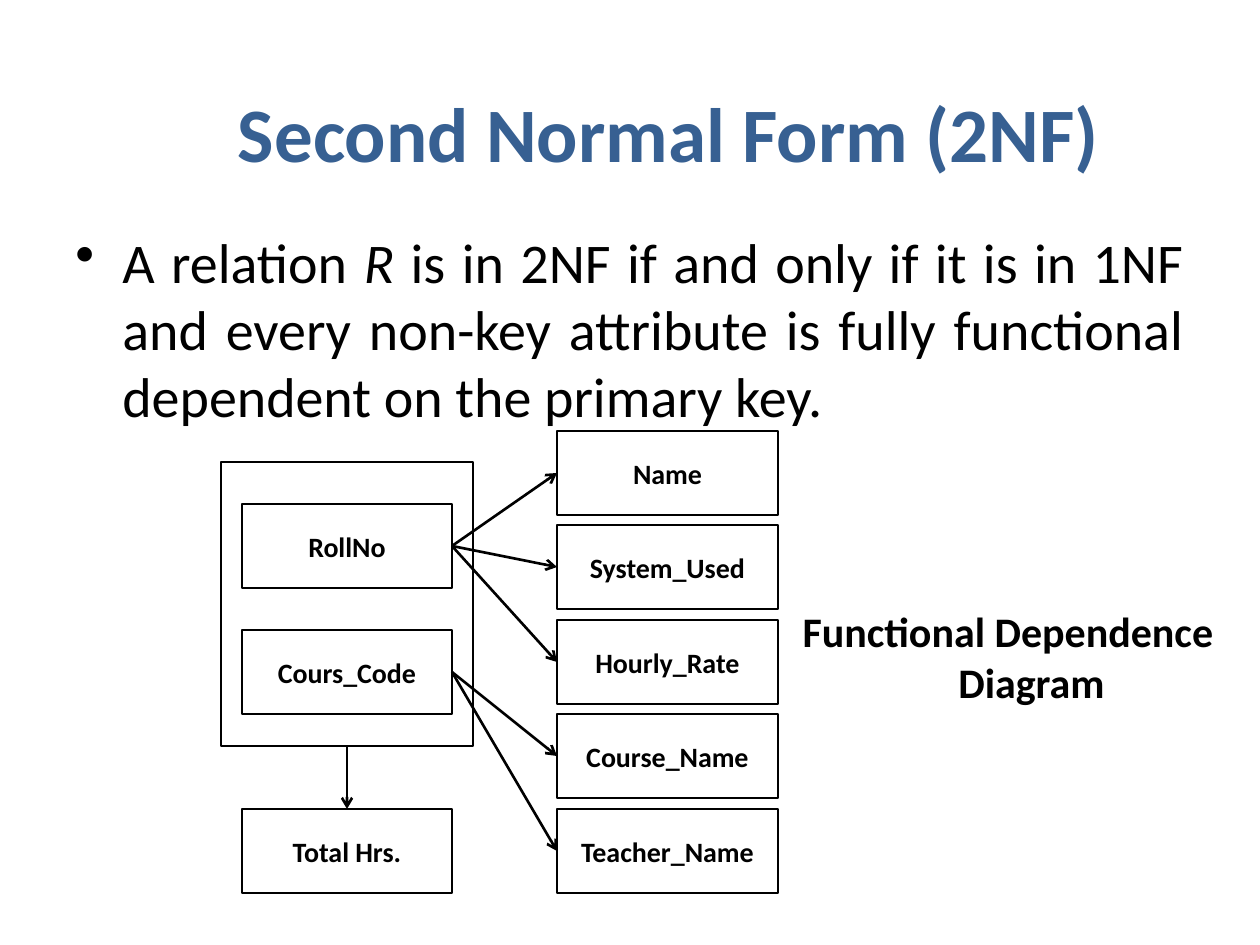
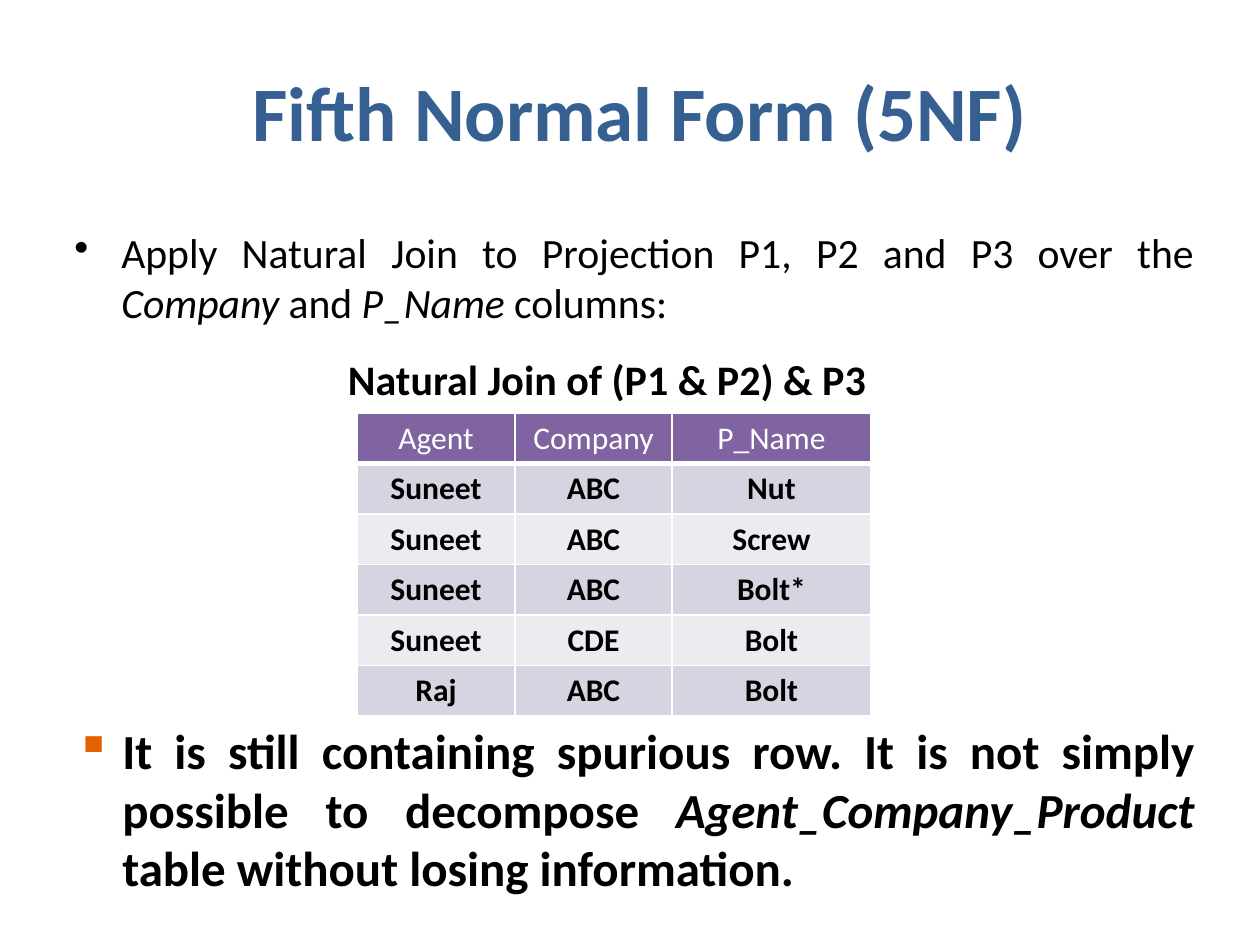
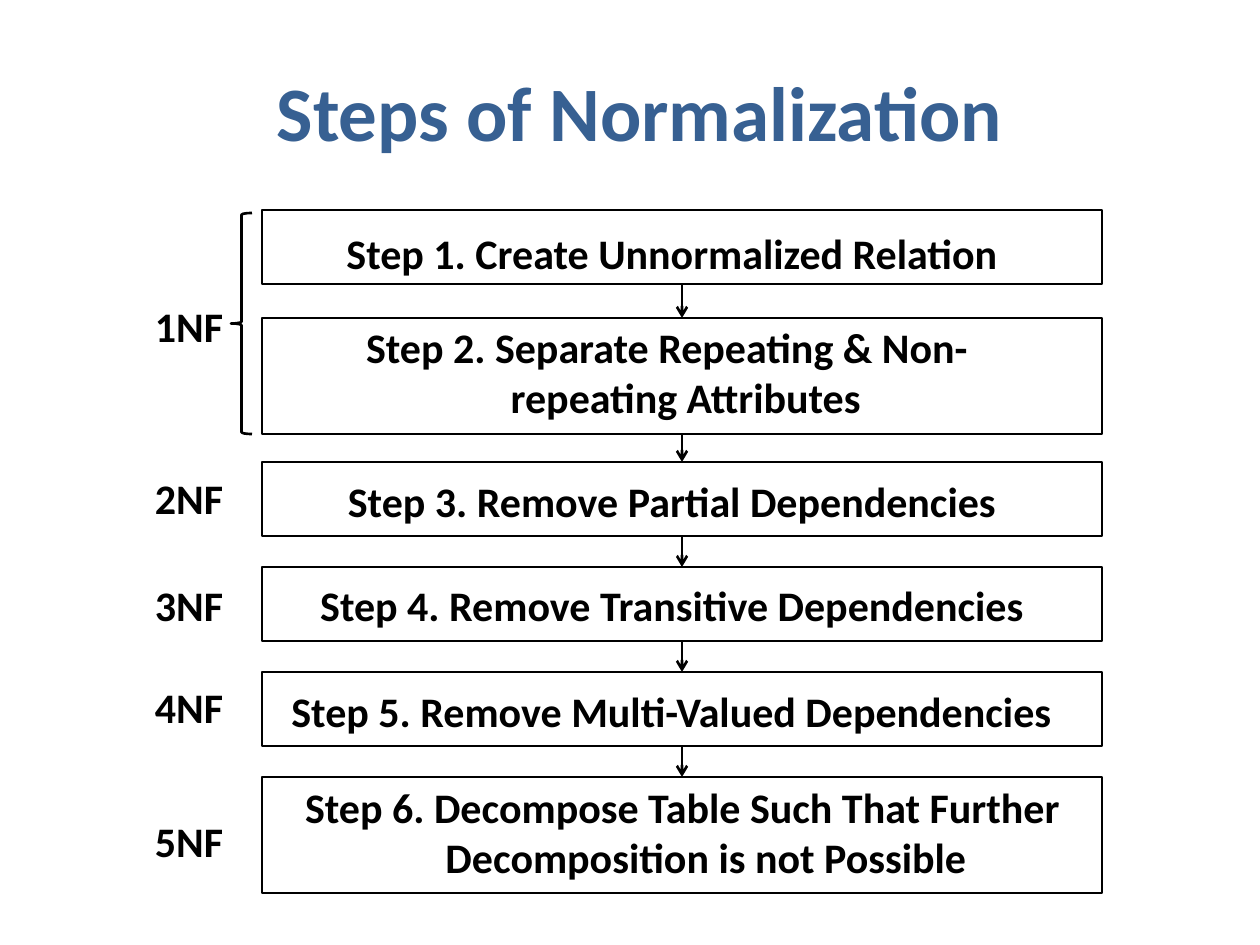
"""Build three slides on database normalization."""
from dataclasses import dataclass

from lxml import etree
from pptx import Presentation
from pptx.dml.color import RGBColor
from pptx.enum.shapes import MSO_CONNECTOR, MSO_SHAPE
from pptx.enum.text import MSO_ANCHOR, PP_ALIGN
from pptx.oxml.ns import qn
from pptx.util import Emu, Pt

CENTER, JUSTIFY = PP_ALIGN.CENTER, PP_ALIGN.JUSTIFY
TOP_ANCHOR, MIDDLE_ANCHOR = MSO_ANCHOR.TOP, MSO_ANCHOR.MIDDLE
RECTANGLE, LEFT_BRACE = MSO_SHAPE.RECTANGLE, MSO_SHAPE.LEFT_BRACE
STRAIGHT = MSO_CONNECTOR.STRAIGHT
TOP, LEFT, BOTTOM, RIGHT = range(4)
EMU_PER_PX = 914400 / 126


@dataclass(frozen=True)
class Theme:
    """Colours, font and type sizes shared by the slides."""
    font: str = "Calibri"
    title: str = "376092"
    ink: str = "000000"
    paper: str = "FFFFFF"
    header: str = "8064A2"
    bands: tuple = ("D8D3E0", "EDEAF0")
    accent: str = "E46100"
    title_size: float = 44
    body_size: float = 32
    note_size: float = 28
    label_size: float = 24
    lead_size: float = 23.8
    cell_size: float = 18
    node_size: float = 16
    line_width: float = 1.5
    hanging: int = 47


THEME = Theme()

SLIDE_SIZE = (1260, 945)
TITLE_PLACE = (73, 32, 1134, 158)

SECOND_FORM = {
    "title": "Second Normal Form (2NF)",
    "title_place": (102, 53, 1134, 158),
    "body": "A relation |R| is in 2NF if and only if it is in 1NF and every non-key attribute "
            "is fully functional dependent on the primary key.",
    "caption": "Functional Dependence Diagram",
}
KEYS = {"RollNo": 504, "Cours_Code": 630, "Total Hrs.": 809}
ATTRIBUTES = ["Name", "System_Used", "Hourly_Rate", "Course_Name", "Teacher_Name"]
DEPENDENCIES = {
    "RollNo": ["Name", "System_Used", "Hourly_Rate"],
    "Cours_Code": ["Course_Name", "Teacher_Name"],
}

FIFTH_FORM = {
    "title": "Fifth Normal Form (5NF)",
    "body": "Apply Natural Join to Projection P1, P2 and P3 over the |Company| and |P_Name| columns:",
    "caption": "Natural Join of (P1 & P2) & P3",
    "note": "It is still containing spurious row. It is not simply possible to decompose "
            "|Agent_Company_Product| table without losing information.",
}
JOIN_COLUMNS = (158, 157, 199)
JOIN_ROW_HEIGHT = 50
JOIN_ROWS = [
    ("Agent", "Company", "P_Name"),
    ("Suneet", "ABC", "Nut"),
    ("Suneet", "ABC", "Screw"),
    ("Suneet", "ABC", "Bolt*"),
    ("Suneet", "CDE", "Bolt"),
    ("Raj", "ABC", "Bolt"),
]

STEPS_TITLE = "Steps of Normalization"
STEPS = [
    # wording, (text left, top, width), (box top, height)
    ("Step 1. Create Unnormalized Relation", (294, 221, 756), (210, 74)),
    ("Step 2. Separate Repeating & Non-repeating Attributes ", (284, 315, 766), (318, 116)),
    ("Step 3. Remove Partial Dependencies", (294, 469, 756), (462, 74)),
    ("Step 4. Remove Transitive Dependencies", (294, 573, 756), (567, 74)),
    ("Step 5. Remove Multi-Valued Dependencies", (262, 679, 819), (672, 74)),
    ("Step 6. Decompose Table Such That Further Decomposition is not Possible",
     (273, 775, 819), (777, 116)),
]
FORM_TOPS = {"1NF": 294, "2NF": 466, "3NF": 573, "4NF": 675, "5NF": 809}


def px(length):
    """Turn pixels into EMU."""
    return Emu(round(length * EMU_PER_PX))


def place(*lengths):
    """Turn several pixel lengths into EMU."""
    return [px(length) for length in lengths]


def style_paragraph(paragraph, text, size, color=THEME.ink, bold=True, align=CENTER):
    """Write text, with italics between bars, in one paragraph style."""
    paragraph.alignment = align
    font = paragraph.font
    font.name, font.size, font.bold = THEME.font, Pt(size), bold
    font.color.rgb = RGBColor.from_string(color)
    for index, part in enumerate(text.split("|")):
        run = paragraph.add_run()
        run.text = part
        if index % 2:
            run.font.italic = True


def add_hanging(paragraph, bullet=None, bullet_color=None):
    """Give a paragraph a hanging indent and, if asked, a bullet."""
    properties = paragraph._p.get_or_add_pPr()
    properties.set("marL", str(px(THEME.hanging)))
    properties.set("indent", str(-px(THEME.hanging)))
    if bullet_color:
        color = etree.SubElement(properties, qn("a:buClr"))
        etree.SubElement(color, qn("a:srgbClr"), val=bullet_color)
    if bullet:
        etree.SubElement(properties, qn("a:buChar"), char=bullet)


def add_text(slide, text, box, size, anchor=TOP_ANCHOR, hanging=True,
             bullet=None, bullet_color=None, **style):
    """Add a wrapping text box."""
    frame = slide.shapes.add_textbox(*place(*box)).text_frame
    frame.word_wrap = True
    frame.vertical_anchor = anchor
    paragraph = frame.paragraphs[0]
    if hanging:
        add_hanging(paragraph, bullet, bullet_color)
    style_paragraph(paragraph, text, size, **style)


def add_outline(slide, box, text=None, kind=RECTANGLE):
    """Add an unfilled shape with a black outline and optional label."""
    shape = slide.shapes.add_shape(kind, *place(*box))
    shape.shadow.inherit = False
    shape.fill.background()
    shape.line.color.rgb = RGBColor.from_string(THEME.ink)
    shape.line.width = Pt(THEME.line_width)
    if text:
        shape.text_frame.vertical_anchor = MIDDLE_ANCHOR
        style_paragraph(shape.text_frame.paragraphs[0], text, THEME.node_size)
    return shape


def add_arrow(slide, start, start_side, end, end_side):
    """Join two shapes with an arrow."""
    arrow = slide.shapes.add_connector(STRAIGHT, 0, 0, 0, 0)
    arrow.begin_connect(start, start_side)
    arrow.end_connect(end, end_side)
    arrow.line.color.rgb = RGBColor.from_string(THEME.ink)
    arrow.line.width = Pt(THEME.line_width)
    etree.SubElement(arrow.line._get_or_add_ln(), qn("a:tailEnd"), type="arrow")
    etree.SubElement(arrow._element.spPr, qn("a:effectLst"))


def add_slide(presentation, title, title_place=TITLE_PLACE):
    """Add a blank slide with its title."""
    slide = presentation.slides.add_slide(presentation.slide_layouts[6])
    add_text(slide, title, title_place, THEME.title_size, anchor=MIDDLE_ANCHOR,
             hanging=False, color=THEME.title)
    return slide


def fill_cell(cell, text, is_header, fill):
    """Write a table cell with its borders and fill."""
    properties = cell._tc.get_or_add_tcPr()
    for side in ("L", "R", "T", "B"):
        width = Pt(3 if is_header and side == "B" else 1)
        border = etree.SubElement(properties, qn(f"a:ln{side}"), w=str(width))
        solid = etree.SubElement(border, qn("a:solidFill"))
        etree.SubElement(solid, qn("a:srgbClr"), val=THEME.paper)
    cell.fill.solid()
    cell.fill.fore_color.rgb = RGBColor.from_string(fill)
    style_paragraph(cell.text_frame.paragraphs[0], text, THEME.cell_size,
                    color=THEME.paper if is_header else THEME.ink, bold=not is_header)


def build_second_form(presentation):
    """Draw the functional dependence diagram."""
    slide = add_slide(presentation, SECOND_FORM["title"], SECOND_FORM["title_place"])
    add_text(slide, SECOND_FORM["body"], (63, 221, 1134, 221), THEME.body_size,
             bullet="•", bold=False, align=JUSTIFY)
    composite_key = add_outline(slide, (221, 462, 252, 284))
    nodes = {name: add_outline(slide, (242, top, 210, 84), name) for name, top in KEYS.items()}
    for index, name in enumerate(ATTRIBUTES):
        nodes[name] = add_outline(slide, (557, 431 + index * 189 // 2, 221, 84), name)
    for key, dependents in DEPENDENCIES.items():
        for name in dependents:
            add_arrow(slide, nodes[key], RIGHT, nodes[name], LEFT)
    add_arrow(slide, composite_key, BOTTOM, nodes["Total Hrs."], TOP)
    add_text(slide, SECOND_FORM["caption"], (777, 576, 462, 160), THEME.label_size,
             anchor=MIDDLE_ANCHOR)


def build_fifth_form(presentation):
    """Draw the natural join table and its conclusion."""
    slide = add_slide(presentation, FIFTH_FORM["title"])
    add_text(slide, FIFTH_FORM["body"], (62, 221, 1144, 95), THEME.lead_size,
             bullet="•", bold=False, align=JUSTIFY)
    add_text(slide, FIFTH_FORM["caption"], (294, 347, 626, 66), THEME.label_size)
    size = (sum(JOIN_COLUMNS), JOIN_ROW_HEIGHT * len(JOIN_ROWS))
    table = slide.shapes.add_table(len(JOIN_ROWS), len(JOIN_COLUMNS),
                                   *place(357, 413, *size)).table
    for column, width in zip(table.columns, JOIN_COLUMNS):
        column.width = px(width)
    for row_index, values in enumerate(JOIN_ROWS):
        is_header = row_index == 0
        fill = THEME.header if is_header else THEME.bands[(row_index - 1) % 2]
        for column_index, value in enumerate(values):
            fill_cell(table.cell(row_index, column_index), value, is_header, fill)
    add_text(slide, FIFTH_FORM["note"], (63, 714, 1144, 210), THEME.note_size,
             bullet="▪", bullet_color=THEME.accent, align=JUSTIFY)


def build_steps(presentation):
    """Draw the chain of normalization steps."""
    slide = add_slide(presentation, STEPS_TITLE)
    boxes = []
    for text, text_place, (top, height) in STEPS:
        boxes.append(add_outline(slide, (262, top, 840, height)))
        add_text(slide, text, (*text_place, 66), THEME.label_size)
    for upper, lower in zip(boxes, boxes[1:]):
        add_arrow(slide, upper, BOTTOM, lower, TOP)
    for form, top in FORM_TOPS.items():
        add_text(slide, form, (126, top, 126, 63), THEME.label_size)
    add_outline(slide, (231, 213, 21, 221), kind=LEFT_BRACE)


def main():
    """Build and save the presentation."""
    presentation = Presentation()
    presentation.slide_width, presentation.slide_height = place(*SLIDE_SIZE)
    build_second_form(presentation)
    build_fifth_form(presentation)
    build_steps(presentation)
    presentation.save("out.pptx")


if __name__ == "__main__":
    main()
